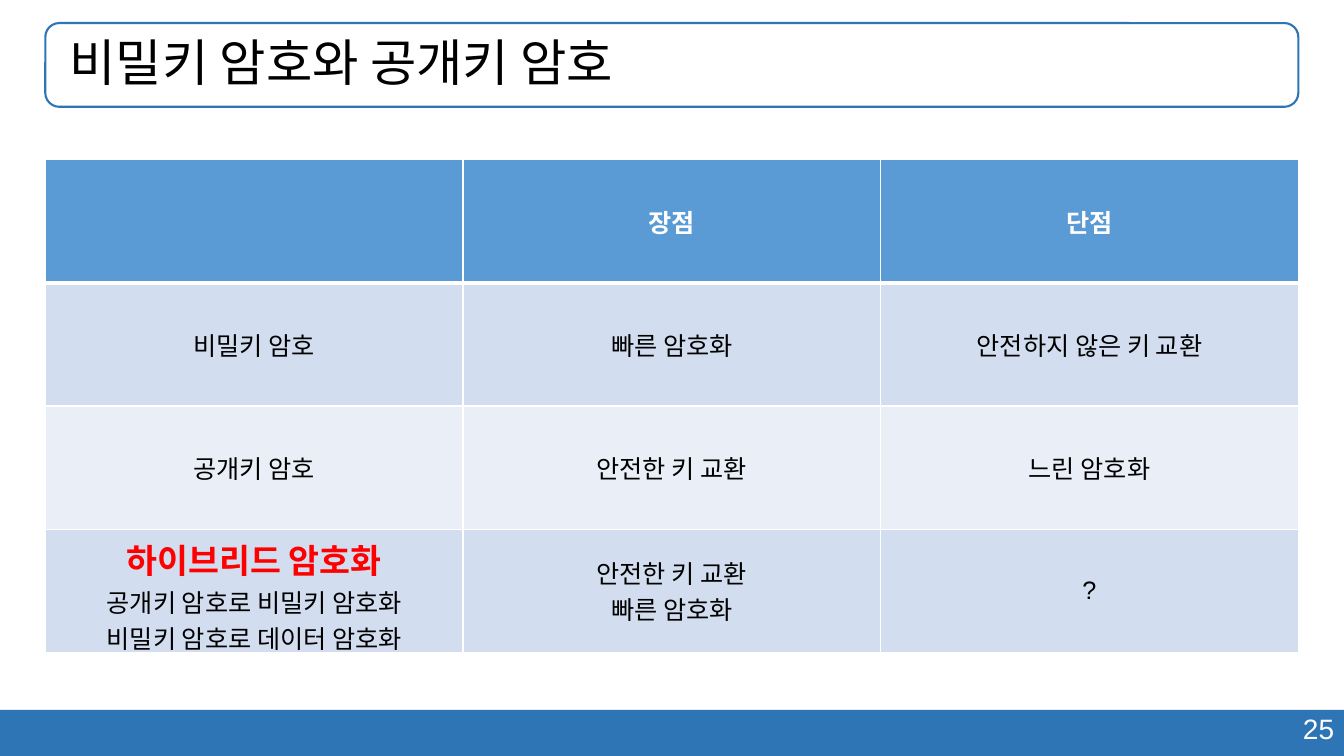
import pptx
import pptx.util
import pptx.dml.color
import pptx.enum.shapes
import pptx.enum.text
import pptx.oxml
import pptx.oxml.ns

Pt = pptx.util.Pt
RGB = pptx.dml.color.RGBColor
ALIGN = pptx.enum.text.PP_ALIGN
MIDDLE = pptx.enum.text.MSO_ANCHOR.MIDDLE
SHAPE = pptx.enum.shapes.MSO_SHAPE

BLUE = RGB(0x2E, 0x75, 0xB6)
HEAD = RGB(0x5B, 0x9B, 0xD5)
BAND = RGB(0xD2, 0xDE, 0xEF)
PALE = RGB(0xEA, 0xEF, 0xF7)
WHITE = RGB(0xFF, 0xFF, 0xFF)
BLACK = RGB(0, 0, 0)
RED = RGB(0xFF, 0, 0)

FONT = "Arial"
HYBRID = "하이브리드 암호화"
ROWS = [
    ["", "장점", "단점"],
    ["비밀키 암호", "빠른 암호화", "안전하지 않은 키 교환"],
    ["공개키 암호", "안전한 키 교환", "느린 암호화"],
    [
        HYBRID + "\n공개키 암호로 비밀키 암호화\n비밀키 암호로 데이터 암호화",
        "안전한 키 교환\n빠른 암호화",
        "?",
    ],
]


def style(para, size, color, align, bold=False):
    para.alignment = align
    for run in para.runs:
        run.font.name = FONT
        run.font.size = Pt(size)
        run.font.color.rgb = color
        run.font.bold = bold


def add_label(slide, text, box, size, color, align):
    label = slide.shapes.add_textbox(*map(Pt, box))
    frame = label.text_frame
    frame.word_wrap = True
    frame.text = text
    style(frame.paragraphs[0], size, color, align)
    return frame


def add_title(slide, text, box):
    panel = slide.shapes.add_shape(SHAPE.ROUNDED_RECTANGLE, *map(Pt, box))
    panel.shadow.inherit = False
    panel.fill.background()
    panel.line.color.rgb = BLUE
    panel.line.width = Pt(1.5)
    frame = add_label(slide, text, box, 36, BLACK, ALIGN.LEFT)
    frame.margin_left = Pt(17.2)
    frame.vertical_anchor = MIDDLE
    frame.paragraphs[0].line_spacing = 0.9


def add_footer(slide, number, box):
    left, top, width, height = box
    bar = slide.shapes.add_shape(SHAPE.RECTANGLE, *map(Pt, box))
    bar.shadow.inherit = False
    bar.fill.solid()
    bar.fill.fore_color.rgb = BLUE
    bar.line.fill.background()
    spot = (left + width - 281, top - 2.2, 281, 31.5)
    add_label(slide, number, spot, 20, WHITE, ALIGN.RIGHT)


def set_border(cell, side, width):
    cell._tc.get_or_add_tcPr().append(pptx.oxml.parse_xml(
        f'<a:ln{side} {pptx.oxml.ns.nsdecls("a")} w="{Pt(width)}">'
        f'<a:solidFill><a:srgbClr val="{WHITE}"/></a:solidFill></a:ln{side}>'
    ))


def fill_cell(cell, text, row):
    for side in "LRTB":
        thick = (row, side) in ((0, "B"), (1, "T"))
        set_border(cell, side, 3 if thick else 1)
    cell.fill.solid()
    cell.fill.fore_color.rgb = HEAD if row == 0 else BAND if row % 2 else PALE
    cell.vertical_anchor = MIDDLE
    cell.text_frame.text = text
    for para in cell.text_frame.paragraphs:
        if para.text == HYBRID:
            style(para, 24, RED, ALIGN.CENTER, True)
        else:
            color = BLACK if row else WHITE
            style(para, 18, color, ALIGN.CENTER, row == 0)


def add_grid(slide, rows, box):
    frame = slide.shapes.add_table(len(rows), len(rows[0]), *map(Pt, box))
    for r, texts in enumerate(rows):
        for c, text in enumerate(texts):
            fill_cell(frame.table.cell(r, c), text, r)


def main():
    deck = pptx.Presentation()
    deck.slide_width, deck.slide_height = Pt(960), Pt(540)
    slide = deck.slides.add_slide(deck.slide_layouts[6])
    add_footer(slide, "25", (0, 507, 960, 33))
    add_title(slide, "비밀키 암호와 공개키 암호", (32.4, 16.5, 895, 59.8))
    add_grid(slide, ROWS, (32.4, 114, 895, 352))
    deck.save("out.pptx")


if __name__ == "__main__":
    main()
